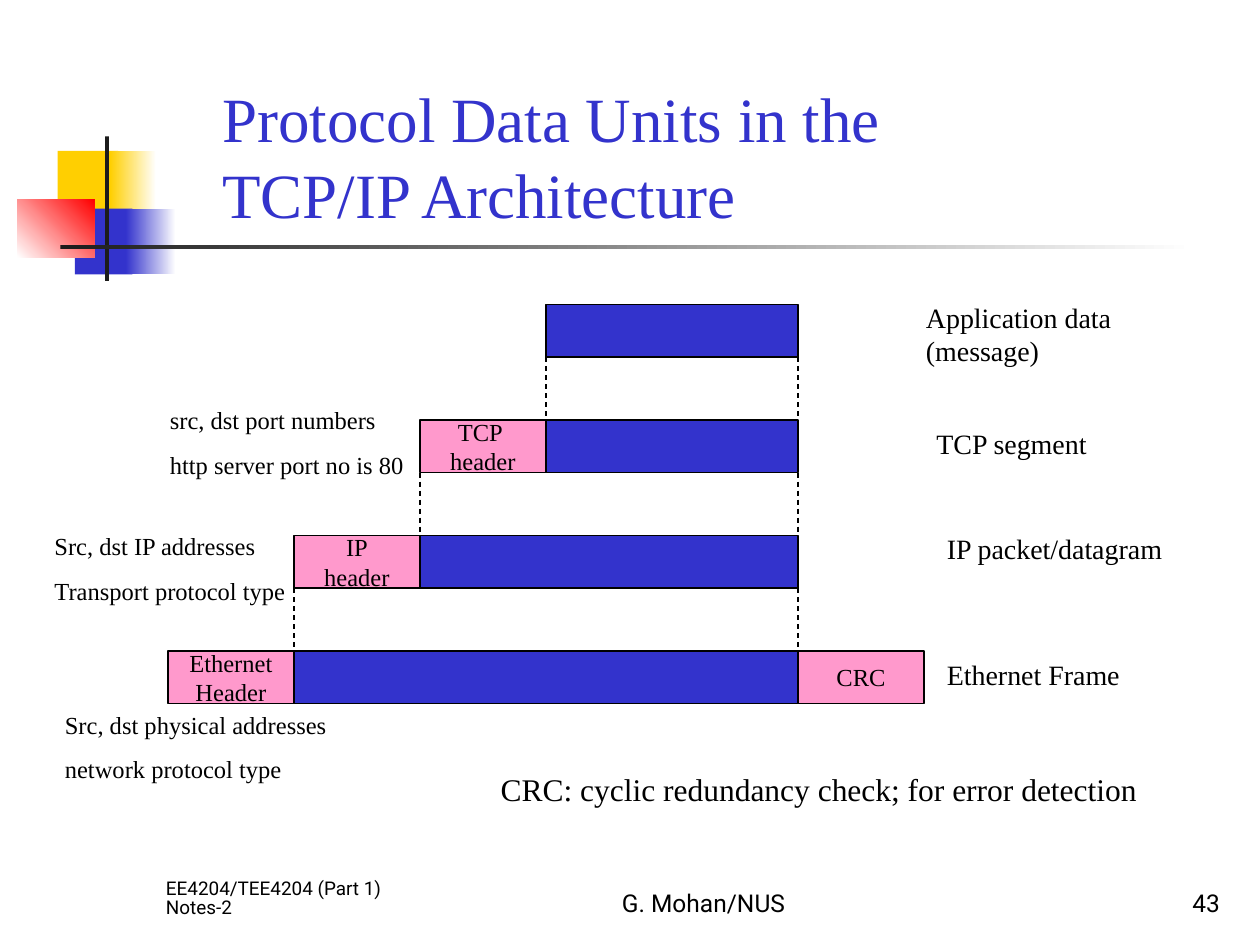
import pptx
import pptx.util
from lxml import etree
from pptx.dml.color import RGBColor
from pptx.enum.dml import MSO_LINE
from pptx.enum.shapes import MSO_CONNECTOR, MSO_SHAPE
from pptx.enum.text import MSO_ANCHOR, PP_ALIGN
from pptx.oxml.ns import qn

PX = 9525  # EMU per px, 96 px to the inch
BLACK = RGBColor(0x00, 0x00, 0x00)
WHITE = RGBColor(0xFF, 0xFF, 0xFF)
CHARCOAL = RGBColor(0x1C, 0x1C, 0x1C)
BLUE = RGBColor(0x33, 0x33, 0xCC)
PINK = RGBColor(0xFF, 0x99, 0xCC)
YELLOW = RGBColor(0xFF, 0xCF, 0x01)
RED = RGBColor(0xFF, 0x00, 0x00)
SERIF, SANS = "Times New Roman", "Roboto"
LEFT, CENTER, RIGHT = PP_ALIGN.LEFT, PP_ALIGN.CENTER, PP_ALIGN.RIGHT

# Corner decoration: box, colours (two make a gradient), gradient angle
DECORATION = [
    ((44, 115, 46, 50), (YELLOW,), 0),
    ((84, 115, 35, 50), (YELLOW, WHITE), 0),
    ((57, 159, 44, 50), (BLUE,), 0),
    ((96, 159, 38, 50), (BLUE, WHITE), 0),
    ((13, 152, 59, 44), (WHITE, RED), 45),
    ((80, 104, 3, 110), (CHARCOAL,), 0),
    ((46, 187, 864, 3), (CHARCOAL, WHITE), 0),
]

# Each layer: header lines, trailer lines
LAYERS = [
    ([], []),
    (["TCP ", "header"], []),
    (["IP", "header"], []),
    (["Ethernet", "Header"], ["CRC"]),
]
DATA_LEFT, DATA_RIGHT, FIRST_TOP = 416, 608, 232
HEADER_WIDTH, BAR_HEIGHT, LAYER_STEP = 96, 40, 88

TITLE = ((160, 56, 632, 125), "Protocol Data Units in the TCP/IP Architecture")
UNIT_LABELS = [
    ((696, 224, 208, 61), "Application data (message)"),
    ((704, 320, 208, 36), "TCP segment"),
    ((712, 400, 208, 36), "IP packet/datagram"),
    ((712, 496, 208, 36), "Ethernet Frame"),
]
HEADER_NOTES = [
    ((120, 304, 384, 66), ["src, dst port numbers", "http server port no is 80"]),
    ((32, 400, 216, 66), ["Src, dst IP addresses", "Transport protocol type"]),
    ((40, 536, 232, 66), ["Src, dst physical addresses", "network protocol type"]),
]
CRC_NOTE = ((372, 582, 554, 38), "CRC: cyclic redundancy check; for error detection")
# Footer: box, text, size, alignment, line spacing
FOOTER = [
    ((117, 656, 200, 48), "EE4204/TEE4204 (Part 1) Notes-2", 10.8, LEFT, 0.8),
    ((384, 656, 304, 48), "G. Mohan/NUS", 14, CENTER, 1.0),
    ((739, 656, 200, 48), "43", 14, RIGHT, 1.0),
]

deck = pptx.Presentation()
deck.slide_width, deck.slide_height = 960 * PX, 720 * PX
slide = deck.slides.add_slide(deck.slide_layouts[6])


def scaled(box):
    return [length * PX for length in box]


def write(frame, lines, size, color=BLACK, font=SERIF, align=LEFT,
          anchor=MSO_ANCHOR.TOP, wrap=True, gap=0, spacing=None):
    frame.word_wrap = wrap
    frame.vertical_anchor = anchor
    for i, line in enumerate(lines):
        paragraph = frame.add_paragraph() if i else frame.paragraphs[0]
        paragraph.alignment = align
        if i and gap:
            paragraph.space_before = pptx.util.Pt(gap)
        if spacing:
            paragraph.line_spacing = spacing
        run = paragraph.add_run()
        run.text = line
        run.font.size = pptx.util.Pt(size)
        run.font.name = font
        run.font.color.rgb = color


def add_text(box, lines, size, **style):
    write(slide.shapes.add_textbox(*scaled(box)).text_frame, lines, size, **style)


def add_rect(box, colors, angle=0, outlined=False):
    rect = slide.shapes.add_shape(MSO_SHAPE.RECTANGLE, *scaled(box))
    rect.shadow.inherit = False
    if len(colors) == 1:
        rect.fill.solid()
        rect.fill.fore_color.rgb = colors[0]
    else:
        rect.fill.gradient()
        rect.fill.gradient_angle = angle
        for stop, color, position in zip(rect.fill.gradient_stops, colors, (0, 1)):
            stop.color.rgb = color
            stop.position = position
    if outlined:
        rect.line.color.rgb = BLACK
        rect.line.width = pptx.util.Pt(0.75)
    else:
        rect.line.fill.background()
    return rect


def add_control_field(left, top, lines):
    field = add_rect((left, top, HEADER_WIDTH, BAR_HEIGHT), (PINK,), outlined=True)
    write(field.text_frame, lines, 14, align=CENTER,
          anchor=MSO_ANCHOR.MIDDLE, wrap=False)


def add_guide(x, top, bottom):
    guide = slide.shapes.add_connector(
        MSO_CONNECTOR.STRAIGHT, *scaled((x, top, x, bottom)))
    guide.line.color.rgb = BLACK
    guide.line.width = pptx.util.Pt(0.75)
    guide.line.dash_style = MSO_LINE.DASH
    etree.SubElement(guide._element.spPr, qn("a:effectLst"))


# Corner decoration and title
for box, colors, angle in DECORATION:
    add_rect(box, colors, angle)
add_text(TITLE[0], [TITLE[1]], 36, color=BLUE)

# Layers: each payload spans the whole unit above it
for level, (header, trailer) in enumerate(LAYERS):
    top = FIRST_TOP + level * LAYER_STEP
    payload_left = DATA_LEFT - max(level - 1, 0) * HEADER_WIDTH
    add_rect((payload_left, top, DATA_RIGHT - payload_left, BAR_HEIGHT),
             (BLUE,), outlined=True)
    if header:
        add_control_field(payload_left - HEADER_WIDTH, top, header)
    if trailer:
        add_control_field(DATA_RIGHT, top, trailer)
    if level:
        for x in (payload_left, DATA_RIGHT):
            add_guide(x, top - LAYER_STEP + BAR_HEIGHT, top)

# Labels and notes
for box, label in UNIT_LABELS:
    add_text(box, [label], 16)
for box, lines in HEADER_NOTES:
    add_text(box, lines, 14, gap=8.8)
add_text(CRC_NOTE[0], [CRC_NOTE[1]], 18)

# Footer
for box, text, size, align, spacing in FOOTER:
    add_text(box, [text], size, font=SANS, align=align,
             anchor=MSO_ANCHOR.BOTTOM, spacing=spacing)

deck.save("out.pptx")
